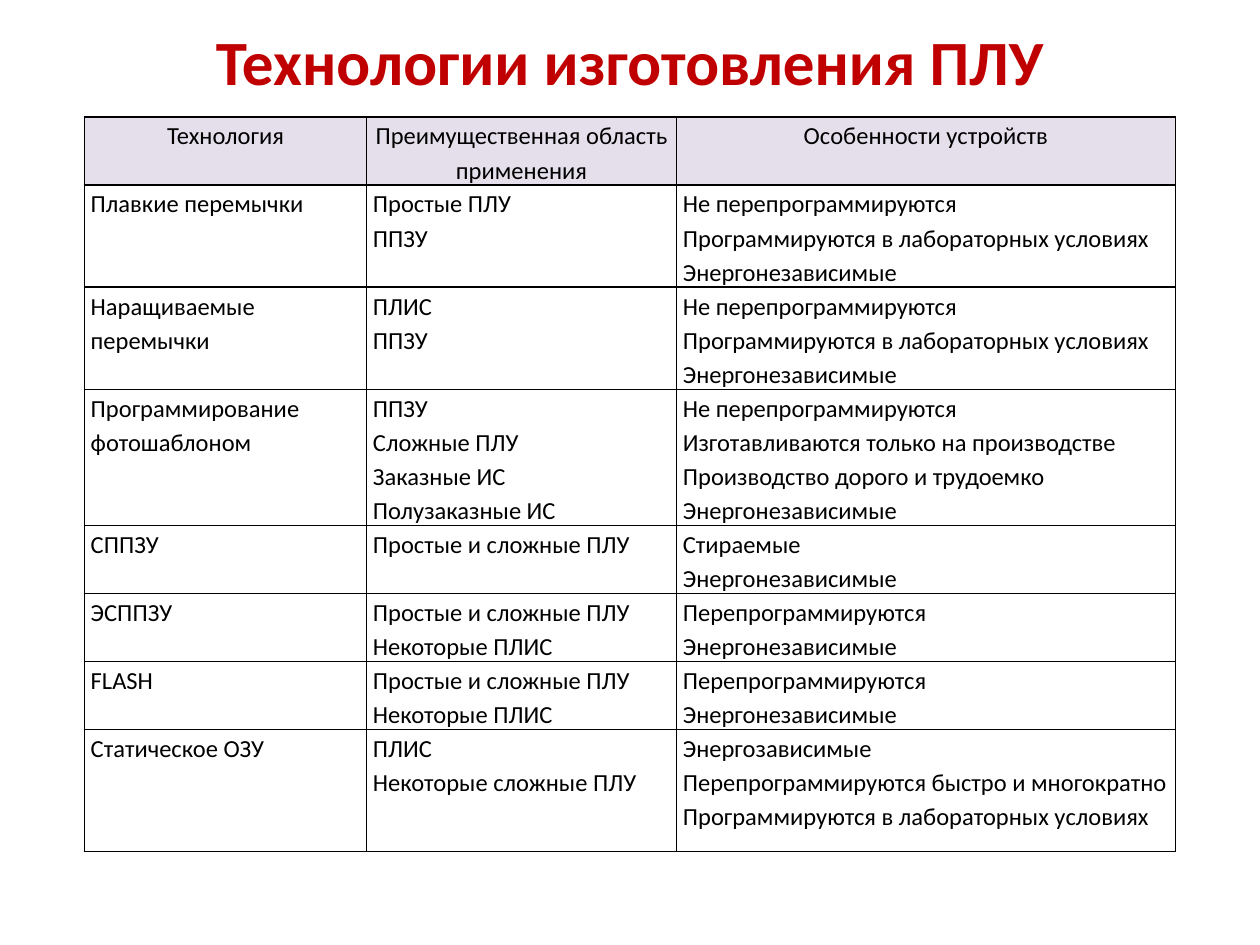
from pptx import Presentation
from pptx.dml.color import RGBColor
from pptx.enum.text import MSO_ANCHOR, PP_ALIGN
from pptx.oxml import parse_xml
from pptx.oxml.ns import nsdecls
from pptx.util import Inches, Pt

# Content: each cell is a list of lines
TITLE = "Технологии изготовления ПЛУ"
HEAD = [["Технология"], ["Преимущественная область применения"],
        ["Особенности устройств"]]
FIXED = "Не перепрограммируются"
LAB = "Программируются в лабораторных условиях"
KEEP = "Энергонезависимые"
REDO = "Перепрограммируются"
BOTH = "Простые и сложные ПЛУ"
SOME = "Некоторые ПЛИС"
BODY = [
    [["Плавкие перемычки"], ["Простые ПЛУ", "ППЗУ"], [FIXED, LAB, KEEP]],
    [["Наращиваемые перемычки"], ["ПЛИС", "ППЗУ"], [FIXED, LAB, KEEP]],
    [["Программирование фотошаблоном"],
     ["ППЗУ", "Сложные ПЛУ", "Заказные ИС", "Полузаказные ИС"],
     [FIXED, "Изготавливаются только на производстве",
      "Производство дорого и трудоемко", KEEP]],
    [["СППЗУ"], [BOTH], ["Стираемые", KEEP]],
    [["ЭСППЗУ"], [BOTH, SOME], [REDO, KEEP]],
    [["FLASH"], [BOTH, SOME], [REDO, KEEP]],
    [["Статическое ОЗУ"], ["ПЛИС", "Некоторые сложные ПЛУ"],
     ["Энергозависимые", "Перепрограммируются быстро и многократно", LAB]],
]
ROWS = [HEAD] + BODY

# Formats
RED = RGBColor(0xC0, 0x00, 0x00)
BLACK = RGBColor(0x00, 0x00, 0x00)
LILAC = RGBColor(0xE5, 0xDF, 0xEC)
COLS = [2.24, 2.46, 3.96]
LINE = 0.27
TALL = 0.97  # last row
BIG = {"size": Pt(36), "bold": True, "name": "Calibri"}
SMALL = {"size": Pt(14), "bold": False, "name": "Calibri"}
PAD = {"margin_left": Inches(0.05), "margin_right": Inches(0.05),
       "margin_top": 0, "margin_bottom": 0,
       "vertical_anchor": MSO_ANCHOR.TOP}


def apply(obj, form):
    for key, val in form.items():
        setattr(obj, key, val)


def write(frame, lines, form, color, align, space=1.0):
    for i, text in enumerate(lines):
        para = frame.paragraphs[0] if i == 0 else frame.add_paragraph()
        apply(para, {"alignment": align, "line_spacing": space})
        run = para.add_run()
        run.text = text
        apply(run.font, form)
        run.font.color.rgb = color


def border(cell):
    props = cell._tc.get_or_add_tcPr()
    for side in "LRTB":
        props.append(parse_xml(
            f'<a:ln{side} {nsdecls("a")} w="{Pt(1)}"><a:solidFill>'
            f'<a:srgbClr val="{BLACK}"/></a:solidFill></a:ln{side}>'))


deck = Presentation()
apply(deck, {"slide_width": Inches(10), "slide_height": Inches(7.5)})
slide = deck.slides.add_slide(deck.slide_layouts[6])

# Title
box = slide.shapes.add_textbox(Inches(0.5), Inches(0.13), Inches(9), Inches(0.69))
apply(box.text_frame, {"word_wrap": True, "vertical_anchor": MSO_ANCHOR.MIDDLE})
write(box.text_frame, [TITLE], BIG, RED, PP_ALIGN.CENTER)

# Table: row height follows the line count, the header wraps to two lines
highs = [LINE * max(2, *map(len, row)) for row in ROWS]
highs[-1] = TALL
table = slide.shapes.add_table(
    len(ROWS), len(COLS), Inches(0.67), Inches(0.93),
    Inches(sum(COLS)), Inches(sum(highs))).table
apply(table, {"first_row": False, "horz_banding": False})
for col, wide in zip(table.columns, COLS):
    col.width = Inches(wide)
for row, high in zip(table.rows, highs):
    row.height = Inches(high)

# Cells
for r, row in enumerate(ROWS):
    for c, lines in enumerate(row):
        cell = table.cell(r, c)
        apply(cell, PAD)
        border(cell)
        if r == 0:
            cell.fill.solid()
            cell.fill.fore_color.rgb = LILAC
        else:
            cell.fill.background()
        align = PP_ALIGN.LEFT if r else PP_ALIGN.CENTER
        write(cell.text_frame, lines, SMALL, BLACK, align, 1.15)

deck.save("out.pptx")
